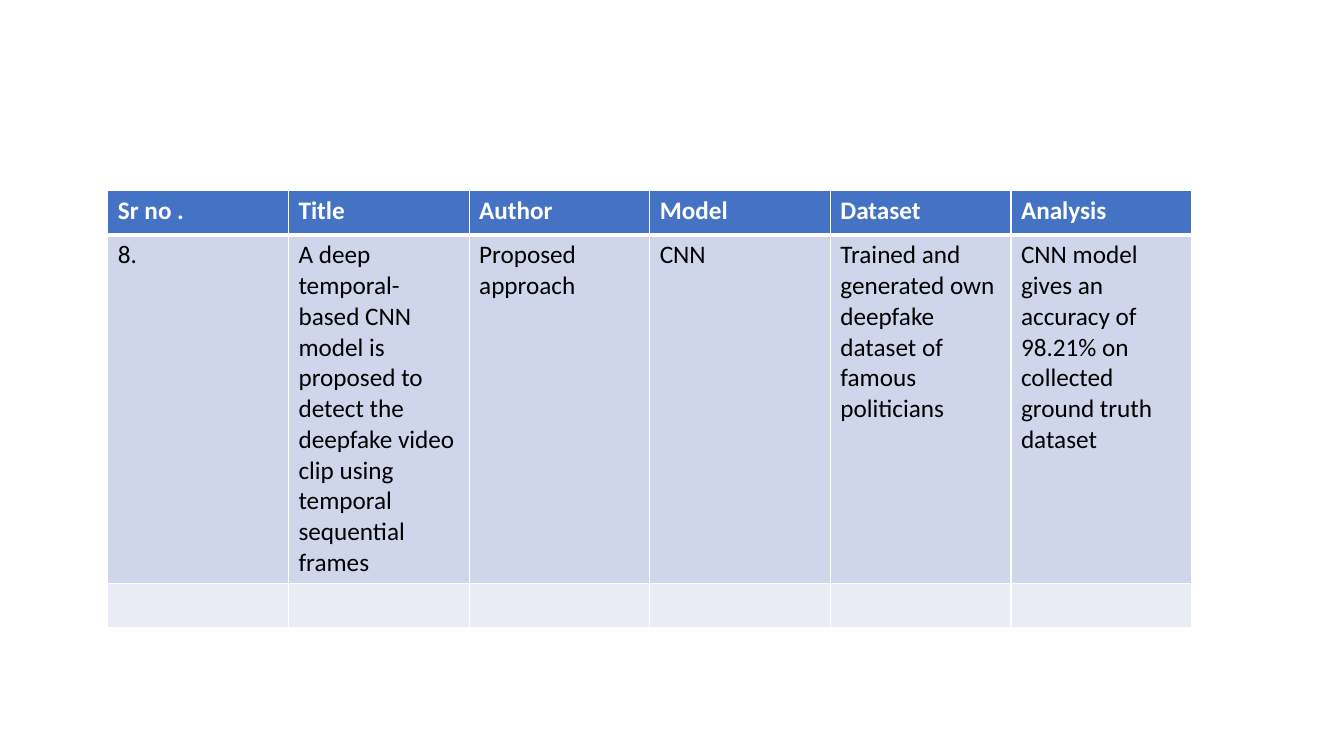
from dataclasses import dataclass

from lxml import etree
from pptx import Presentation
from pptx.dml.color import RGBColor
from pptx.oxml.ns import qn
from pptx.util import Inches, Pt


@dataclass(frozen=True)
class Theme:
    font: str = "Calibri"
    size: int = 18
    head: str = "4472C4"
    band: str = "CFD5EA"
    pale: str = "E9EBF5"
    white: str = "FFFFFF"
    black: str = "000000"
    thin: int = 1
    thick: int = 3


THEME = Theme()
HEADS = ["Sr no .", "Title", "Author", "Model", "Dataset", "Analysis"]
STUDY = [
    "8.",
    "A deep temporal-based CNN model is proposed to detect the deepfake "
    "video clip using temporal sequential frames",
    "Proposed approach",
    "CNN",
    "Trained and generated own deepfake dataset of famous politicians",
    "CNN model gives an accuracy of 98.21% on collected ground truth dataset",
]
ROWS = [
    (HEADS, 0.44, THEME.head, THEME.white, True),
    (STUDY, 3.45, THEME.band, THEME.black, False),
    ([""] * len(HEADS), 0.44, THEME.pale, THEME.black, False),
]


def add_edges(cell, top, bottom):
    props = cell._tc.get_or_add_tcPr()
    widths = {"L": THEME.thin, "R": THEME.thin, "T": top, "B": bottom}
    for side, width in widths.items():
        line = etree.SubElement(props, qn(f"a:ln{side}"), w=str(Pt(width)))
        fill = etree.SubElement(line, qn("a:solidFill"))
        etree.SubElement(fill, qn("a:srgbClr"), val=THEME.white)


def style_cell(cell, text, fill, color, bold):
    cell.fill.solid()
    cell.fill.fore_color.rgb = RGBColor.from_string(fill)
    cell.text_frame.text = text
    para = cell.text_frame.paragraphs[0]
    for font in [para.font] + [run.font for run in para.runs]:
        font.name = THEME.font
        font.size = Pt(THEME.size)
        font.bold = bold
        font.color.rgb = RGBColor.from_string(color)


def add_studies(slide, left, top, width):
    height = sum(row[1] for row in ROWS)
    frame = slide.shapes.add_table(
        len(ROWS), len(HEADS),
        Inches(left), Inches(top), Inches(width), Inches(height),
    )
    table = frame.table
    table.horz_banding = False
    for col in table.columns:
        col.width = Inches(width / len(HEADS))
    for r, (texts, tall, fill, color, bold) in enumerate(ROWS):
        table.rows[r].height = Inches(tall)
        upper = THEME.thick if r == 1 else THEME.thin
        lower = THEME.thick if r == 0 else THEME.thin
        for c, text in enumerate(texts):
            cell = table.cell(r, c)
            add_edges(cell, upper, lower)
            style_cell(cell, text, fill, color, bold)


def main():
    deck = Presentation()
    deck.slide_width = Inches(13.33)
    deck.slide_height = Inches(7.5)
    slide = deck.slides.add_slide(deck.slide_layouts[6])
    add_studies(slide, 1.07, 1.89, 10.75)
    deck.save("out.pptx")


if __name__ == "__main__":
    main()
